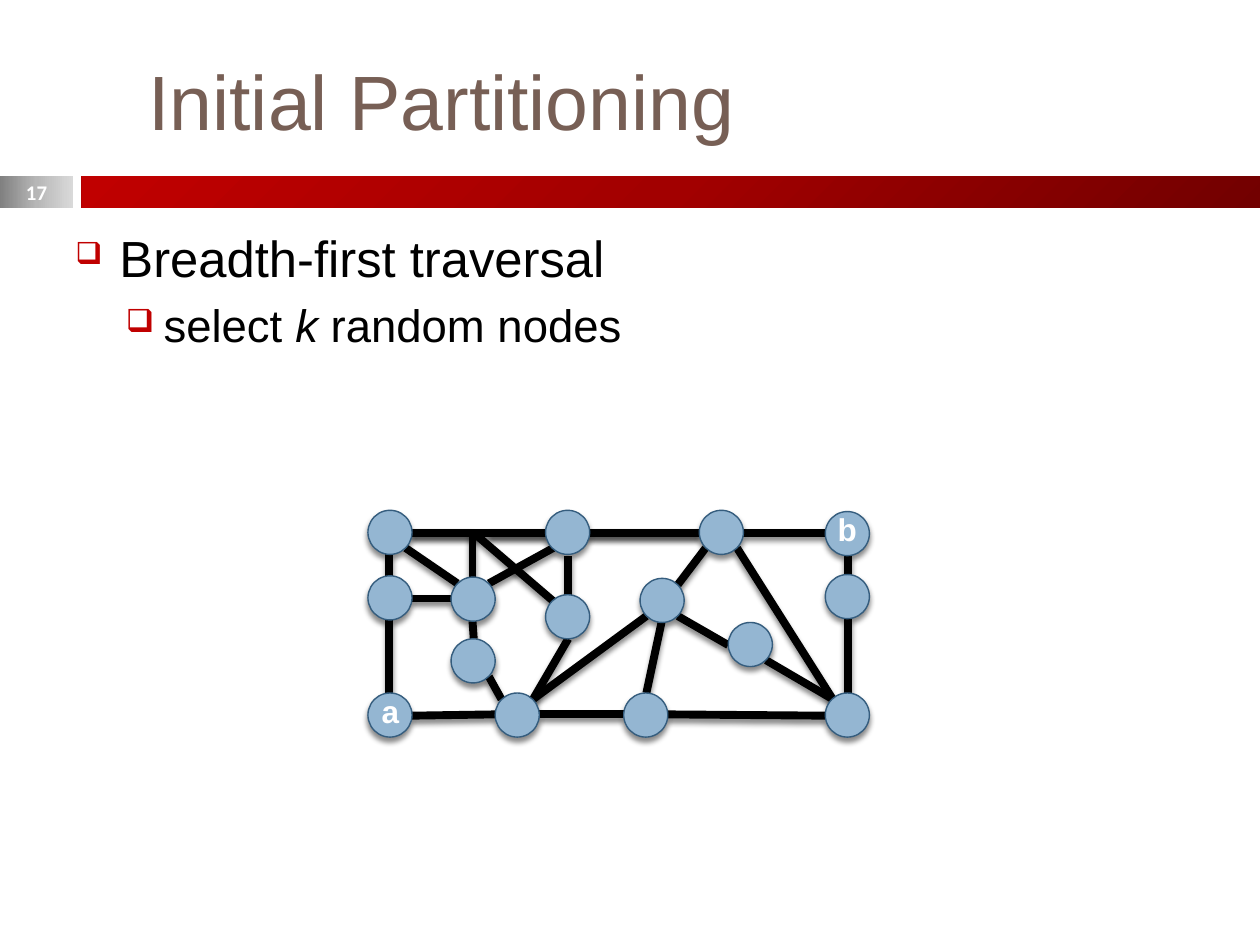
"""Build the slide on initial partitioning by breadth-first traversal."""
from lxml.etree import SubElement
from pptx import Presentation
from pptx.dml.color import RGBColor
from pptx.enum.shapes import MSO_CONNECTOR, MSO_SHAPE
from pptx.enum.text import MSO_ANCHOR as ANCHOR, PP_ALIGN as ALIGN
from pptx.oxml.ns import qn
from pptx.util import Inches, Pt

COLORS = {
    "title": "775F55", "text": "000000", "bullet": "C00000", "light": "FFFFFF",
    "node": "94B6D2", "outline": "355D7E", "edge": "000000", "shadow": "000000",
}
NODE_SIZE = 0.35


def add_shadow(element):
    effects = SubElement(element.spPr, qn("a:effectLst"))
    shadow = SubElement(effects, qn("a:outerShdw"), blurRad=str(Pt(3)),
                        dist=str(Pt(2.4)), dir="5400000", rotWithShape="0")
    color = SubElement(shadow, qn("a:srgbClr"), val=COLORS["shadow"])
    SubElement(color, qn("a:alpha"), val="45000")


def add_text(box, size, color, font="Arial", bold=False, anchor=ANCHOR.TOP, wrap=True):
    left, top, width, height, text = box
    frame = slide.shapes.add_textbox(
        Inches(left), Inches(top), Inches(width), Inches(height)).text_frame
    frame.word_wrap = wrap
    frame.vertical_anchor = anchor
    paragraph = frame.paragraphs[0]
    paragraph.text = text
    paragraph.font.name = font
    paragraph.font.size = Pt(size)
    paragraph.font.bold = bold
    paragraph.font.color.rgb = RGBColor.from_string(COLORS[color])
    return frame


prs = Presentation()
prs.slide_width, prs.slide_height = Inches(10), Inches(7.5)
slide = prs.slides.add_slide(prs.slide_layouts[6])

bands = [
    (0, 0.58, 0, ((0, "808080"), (50, "B7B7B7"), (100, "D9D9D9"))),
    (0.65, 9.35, 135, ((0, "720000"), (50, "A20000"), (100, "C00000"))),
]
for left, width, angle, stops in bands:
    band = slide.shapes.add_shape(
        MSO_SHAPE.RECTANGLE, Inches(left), Inches(1.4), Inches(width), Inches(0.25))
    band.shadow.inherit = False
    band.line.fill.background()
    band.fill.gradient()
    band.fill.gradient_angle = angle
    stop_list = next(band.element.spPr.iter(qn("a:gsLst")))
    for stop in list(stop_list):
        stop_list.remove(stop)
    for position, color in stops:
        stop = SubElement(stop_list, qn("a:gs"), pos=str(position * 1000))
        SubElement(stop, qn("a:srgbClr"), val=color)

add_text((1.08, 0.25, 8.5, 1.08, "Initial Partitioning"), 44, "title", anchor=ANCHOR.MIDDLE)
page_number = add_text((0, 1.39, 0.58, 0.27, "17"), 11.9, "light", "Calibri", True, ANCHOR.MIDDLE)
page_number.paragraphs[0].alignment = ALIGN.CENTER

body = add_text((0.5, 1.75, 9, 1.67, "Breadth-first traversal"), 29, "text")
step = body.add_paragraph()
step.level = 1
step.font.name = "Arial"
step.font.size = Pt(26)
step.font.color.rgb = RGBColor.from_string(COLORS["text"])
for words, italic in (("select ", False), ("k", True), (" random nodes", False)):
    run = step.add_run()
    run.text = words
    run.font.italic = italic

bullets = [(0.35, 0.35, 7, 60), (0.7, 0.3, 5.5, 70)]
for paragraph, (margin, hanging, space, percent) in zip(body.paragraphs, bullets):
    paragraph.space_before = Pt(space)
    properties = paragraph._p.get_or_add_pPr()
    properties.set("marL", str(Inches(margin)))
    properties.set("indent", str(-Inches(hanging)))
    bullet_color = SubElement(properties, qn("a:buClr"))
    SubElement(bullet_color, qn("a:srgbClr"), val=COLORS["bullet"])
    SubElement(properties, qn("a:buSzPct"), val=str(percent * 1000))
    SubElement(properties, qn("a:buChar"), char="❑")
    defaults = properties.find(qn("a:defRPr"))
    properties.append(defaults)

edges = [
    (3.27, 4.23, 4.33, 4.23), (3.09, 4.4, 3.09, 4.58), (3.09, 4.92, 3.09, 5.5),
    (3.93, 5.67, 3.27, 5.68), (4.95, 5.67, 4.28, 5.67), (6.55, 5.68, 5.3, 5.67),
    (3.58, 4.75, 3.27, 4.75), (3.63, 4.63, 3.22, 4.35), (3.88, 4.63, 4.39, 4.35),
    (4.68, 4.23, 5.55, 4.23), (5.9, 4.23, 6.55, 4.23), (6.73, 4.56, 6.73, 4.41),
    (6.73, 5.5, 6.73, 4.91), (6.61, 5.55, 5.85, 4.35), (3.75, 4.93, 3.76, 5.07),
    (3.98, 5.55, 3.88, 5.37), (4.51, 4.72, 4.51, 4.41), (4.23, 5.55, 4.51, 5.07),
    (5.38, 4.64, 5.6, 4.35), (5.13, 4.89, 4.23, 5.55), (5.25, 4.94, 5.13, 5.5),
    (5.38, 4.89, 5.78, 5.12), (6.08, 5.24, 6.61, 5.55), (3.75, 4.23, 3.27, 4.23),
    (3.75, 4.23, 3.75, 4.58), (3.76, 4.23, 4.39, 4.77), (3.88, 4.23, 5.55, 4.23),
]
for ends in edges:
    edge = slide.shapes.add_connector(MSO_CONNECTOR.STRAIGHT, *map(Inches, ends))
    edge.line.width = Pt(4.5)
    edge.line.color.rgb = RGBColor.from_string(COLORS["edge"])
    add_shadow(edge._element)

nodes = [
    (2.92, 4.57), (2.92, 5.5), (3.58, 5.07), (6.55, 4.06), (6.55, 4.56),
    (3.93, 5.5), (4.95, 5.5), (6.55, 5.5), (5.08, 4.59), (5.78, 4.94),
    (4.33, 4.05), (2.92, 4.05), (3.58, 4.58), (5.55, 4.05), (4.33, 4.72),
]
for left, top in nodes:
    node = slide.shapes.add_shape(
        MSO_SHAPE.OVAL, Inches(left), Inches(top), Inches(NODE_SIZE), Inches(NODE_SIZE))
    node.fill.solid()
    node.fill.fore_color.rgb = RGBColor.from_string(COLORS["node"])
    node.line.width = Pt(0.79)
    node.line.color.rgb = RGBColor.from_string(COLORS["outline"])
    add_shadow(node.element)

for label in ((2.93, 5.44, 0.33, 0.4, "a"), (6.55, 4, 0.34, 0.4, "b")):
    add_text(label, 18, "light", bold=True, wrap=False)

prs.save("out.pptx")
